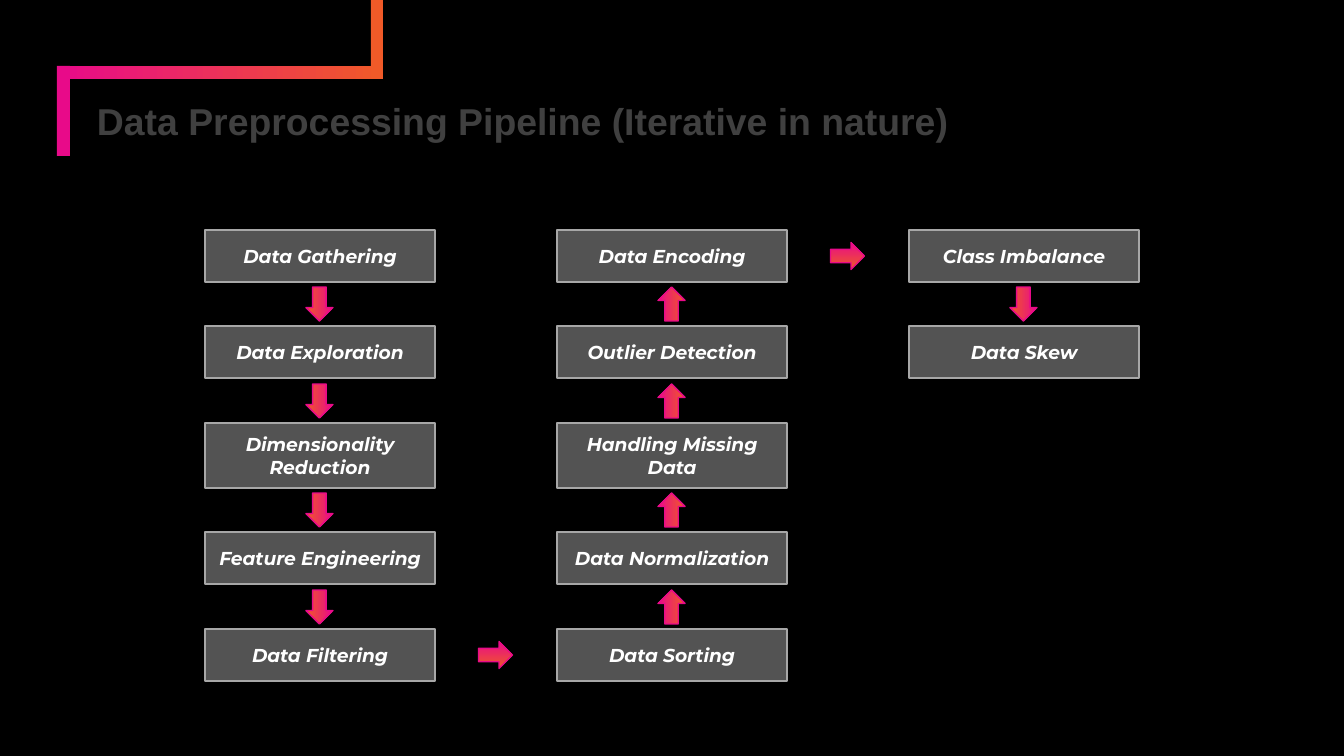
from pptx import Presentation
from pptx import util as u
from pptx.dml.color import RGBColor
from pptx.enum import shapes, text

SCALE = 914400 / 134.4
COLORS = {"background": "000000", "title": "404040", "box": "535353",
          "border": "A7A7A7", "label": "FFFFFF", "orange": "F05A28", "pink": "E80A89"}
RGB = {name: RGBColor.from_string(value) for name, value in COLORS.items()}
SHAPE = shapes.MSO_SHAPE

presentation = Presentation()
presentation.slide_width = u.Emu(round(1344 * SCALE))
presentation.slide_height = u.Emu(round(756 * SCALE))
slide = presentation.slides.add_slide(presentation.slide_layouts[6])
slide.background.fill.solid()
slide.background.fill.fore_color.rgb = RGB["background"]


def add_block(kind, bounds, fills, border=None):
    shape = slide.shapes.add_shape(kind, *[u.Emu(round(n * SCALE)) for n in bounds])
    shape.shadow.inherit = False
    if len(fills) == 1:
        shape.fill.solid()
        shape.fill.fore_color.rgb = RGB[fills[0]]
    else:
        shape.fill.gradient()
        shape.fill.gradient_angle = 0
        for stop, name, position in zip(shape.fill.gradient_stops, fills, (0, 1)):
            stop.color.rgb = RGB[name]
            stop.position = position
    if border:
        shape.line.color.rgb = RGB[border]
        shape.line.width = u.Pt(0.75)
    else:
        shape.line.fill.background()
    return shape


def write_text(shape, words, inset, anchor, paragraph_format, font_format, color):
    frame = shape.text_frame
    frame.word_wrap = True
    frame.vertical_anchor = anchor
    for side in ("left", "top", "right", "bottom"):
        setattr(frame, f"margin_{side}", u.Emu(round(inset * SCALE)))
    paragraph = frame.paragraphs[0]
    run = paragraph.add_run()
    run.text = words
    for target, values in ((paragraph, paragraph_format), (run.font, font_format)):
        for name, value in values.items():
            setattr(target, name, value)
    run.font.color.rgb = RGB[color]


for bounds, fills in (
    ((57, 66, 326, 13), ("pink", "orange")),
    ((57, 66, 13, 90), ("pink",)),
    ((371, 0, 12, 79), ("orange",)),
):
    add_block(SHAPE.RECTANGLE, bounds, fills)

title = slide.shapes.add_textbox(*[u.Emu(round(n * SCALE)) for n in (90, 105, 1214, 46)])
write_text(title, "Data Preprocessing Pipeline (Iterative in nature)", 7, text.MSO_ANCHOR.BOTTOM,
           {"line_spacing": 0.9, "alignment": text.PP_ALIGN.LEFT},
           {"name": "Arial", "size": u.Pt(20), "bold": True}, "title")

LEFT, COLUMN_STEP, BOX_WIDTH = 205, 352, 230
ROWS = ((230, 52), (326, 52), (423, 65), (532, 52), (629, 52))
ARROW_WIDTH, ARROW_HEIGHT = 27, 34
COLUMNS = (
    ("Data Gathering", "Data Exploration", "Dimensionality Reduction",
     "Feature Engineering", "Data Filtering"),
    ("Data Encoding", "Outlier Detection", "Handling Missing Data",
     "Data Normalization", "Data Sorting"),
    ("Class Imbalance", "Data Skew"),
)
steps = []
for column, labels in enumerate(COLUMNS):
    stages = [(column, row, label) for row, label in enumerate(labels)]
    steps += reversed(stages) if column % 2 else stages

for column, row, label in steps:
    top, height = ROWS[row]
    box = add_block(SHAPE.RECTANGLE, (LEFT + column * COLUMN_STEP, top, BOX_WIDTH, height),
                    ("box",), "border")
    write_text(box, label, 13, text.MSO_ANCHOR.MIDDLE, {"alignment": text.PP_ALIGN.CENTER},
               {"name": "Montserrat", "size": u.Pt(10), "bold": True, "italic": True}, "label")

for (column, row, _), (next_column, next_row, _) in zip(steps, steps[1:]):
    center_x = LEFT + BOX_WIDTH / 2 + (column + next_column) * COLUMN_STEP / 2
    upper_top, upper_height = ROWS[min(row, next_row)]
    if column == next_column:
        center_y = (upper_top + upper_height + ROWS[max(row, next_row)][0]) / 2
        rotation = 0 if next_row > row else 180
    else:
        center_y = upper_top + upper_height / 2
        rotation = 270
    arrow = add_block(SHAPE.DOWN_ARROW,
                      (round(center_x - ARROW_WIDTH / 2), round(center_y - ARROW_HEIGHT / 2),
                       ARROW_WIDTH, ARROW_HEIGHT), ("orange", "pink"), "pink")
    arrow.rotation = rotation

presentation.save("out.pptx")
